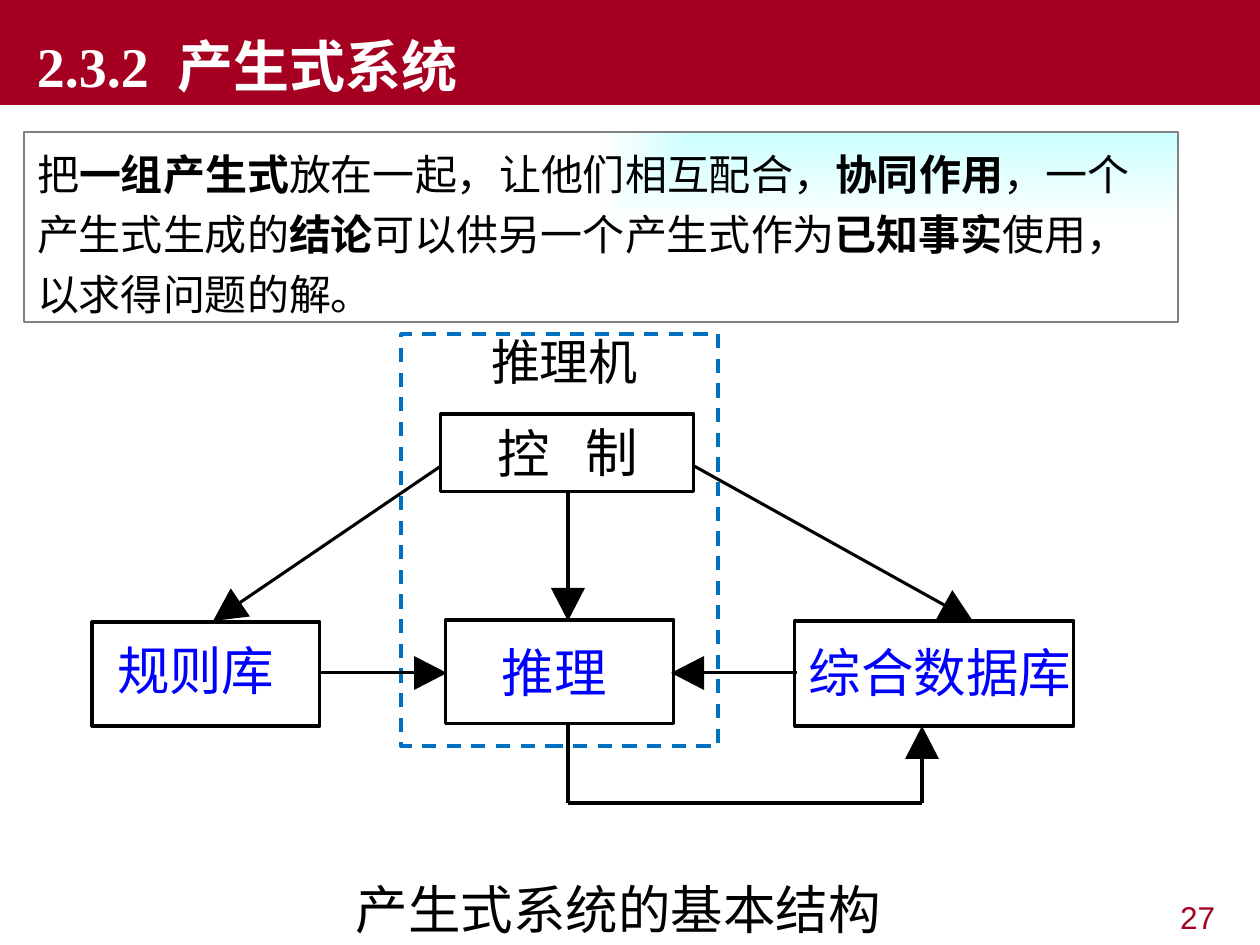
import math
import pptx
import pptx.util
import pptx.dml.color
import pptx.enum.dml
import pptx.enum.shapes
import pptx.enum.text
import pptx.oxml
from lxml import etree

RGB = pptx.dml.color.RGBColor
RED = RGB(0xA5, 0x00, 0x21)
BLACK = RGB(0, 0, 0)
WHITE = RGB(255, 255, 255)
BLUE = RGB(0, 0, 255)
DASH_BLUE = RGB(0x00, 0x70, 0xC0)
GRAY = RGB(0x80, 0x80, 0x80)
CYAN = RGB(0xCC, 0xFF, 0xFF)
CJK = "Noto Sans CJK SC"
NS = "http://schemas.openxmlformats.org/drawingml/2006/main"
A = "{%s}" % NS
PX = 914400 / 126
RECT = pptx.enum.shapes.MSO_SHAPE.RECTANGLE
ALIGN = pptx.enum.text.PP_ALIGN
ANCHOR = pptx.enum.text.MSO_ANCHOR

prs = pptx.Presentation()
prs.slide_width = round(1260 * PX)
prs.slide_height = round(945 * PX)
s = prs.slides.add_slide(prs.slide_layouts[6])


def write(sp, text, size=30, font=CJK, color=BLACK, bold=False, align=ALIGN.LEFT,
          anchor=ANCHOR.TOP, wrap=True, inset=(13, 6), indent=0, spacing=None):
    """Fill a shape with one paragraph; parts between * signs flip the weight."""
    tf = sp.text_frame
    tf.word_wrap = wrap
    tf.vertical_anchor = anchor
    tf.margin_left = tf.margin_right = round(inset[0] * PX)
    tf.margin_top = tf.margin_bottom = round(inset[1] * PX)
    p = tf.paragraphs[0]
    p.alignment = align
    if spacing:
        p.line_spacing = spacing
    if indent:
        p._p.get_or_add_pPr().set("indent", str(round(indent * PX)))
    for i, part in enumerate(text.split("*")):
        r = p.add_run()
        r.text = part
        r.font.size = pptx.util.Pt(size)
        r.font.name = font
        r.font.bold = bold != (i % 2 == 1)
        r.font.color.rgb = color
        ea = etree.SubElement(r._r.get_or_add_rPr(), A + "ea")
        ea.set("typeface", CJK)


def box(x, y, w, h, line=None, width=1.75, fill=None):
    sp = s.shapes.add_shape(RECT, *(round(v * PX) for v in (x, y, w, h)))
    sp.shadow.inherit = False
    if fill is None:
        sp.fill.background()
    else:
        sp.fill.solid()
        sp.fill.fore_color.rgb = fill
    if line is None:
        sp.line.fill.background()
    else:
        sp.line.color.rgb = line
        sp.line.width = pptx.util.Pt(width)
    return sp


# Dashed frame of the inference engine
frame = box(401, 334, 317, 412, DASH_BLUE, 2)
frame.line.dash_style = pptx.enum.dml.MSO_LINE.DASH

# Title bar
write(box(0, 0, 1260, 105, fill=RED), "2.3.2  产生式系统", size=32, color=WHITE,
      font="Times New Roman", bold=True, anchor=ANCHOR.BOTTOM, indent=24)

# Boxes of the diagram
for x, y, w, h in [(441, 414, 253, 78), (92, 622, 228, 104),
                   (446, 620, 228, 104), (795, 621, 279, 105)]:
    box(x, y, w, h, BLACK)

# Lines and arrows, the last point being the tip
HEAD, HALF = 33, 17
for points, has_head in [
    ([(568, 492), (568, 621)], True),
    ([(441, 466), (213, 621)], True),
    ([(694, 466), (973, 621)], True),
    ([(320, 673), (447, 673)], True),
    ([(797, 673), (671, 673)], True),
    ([(568, 725), (568, 803)], False),
    ([(568, 803), (922, 803)], False),
    ([(922, 803), (922, 726)], True),
]:
    (x1, y1), (x2, y2) = points
    length = math.hypot(x2 - x1, y2 - y1)
    ux, uy = (x2 - x1) / length, (y2 - y1) / length
    back = HEAD if has_head else 0
    bx, by = x2 - ux * back, y2 - uy * back
    cn = s.shapes.add_connector(pptx.enum.shapes.MSO_CONNECTOR.STRAIGHT,
                                *(round(v * PX) for v in (x1, y1, bx, by)))
    cn.line.color.rgb = BLACK
    cn.line.width = pptx.util.Pt(1.75)
    etree.SubElement(cn._element.spPr, A + "effectLst")
    if has_head:
        fb = s.shapes.build_freeform(round((bx - uy * HALF) * PX),
                                     round((by + ux * HALF) * PX))
        fb.add_line_segments([(round(x2 * PX), round(y2 * PX)),
                              (round((bx + uy * HALF) * PX), round((by - ux * HALF) * PX))])
        head = fb.convert_to_shape()
        head.shadow.inherit = False
        head.fill.solid()
        head.fill.fore_color.rgb = BLACK
        head.line.fill.background()

# Explanation with a gradient from the top right corner
note = box(24, 132, 1154, 190, GRAY, 0.75)
note.fill.gradient()
for stop, color in zip(note.fill.gradient_stops, (CYAN, WHITE)):
    stop.color.rgb = color
grad = note._element.spPr.find(A + "gradFill")
grad.remove(grad.find(A + "lin"))
grad.append(pptx.oxml.parse_xml(
    f'<a:path xmlns:a="{NS}" path="rect"><a:fillToRect l="100000" b="100000"/></a:path>'))
write(note, "把*一组产生式*放在一起，让他们相互配合，*协同作用*，一个产生式生成的*结论*"
      "可以供另一个产生式作为*已知事实*使用，以求得问题的解。", size=24, spacing=1.2)

# Labels, caption and page number
bare = dict(inset=(0, 0), wrap=False)
for x, y, w, h, text, style in [
    (497, 421, 56, 63, "控", bare),
    (586, 420, 56, 63, "制", bare),
    (117, 638, 170, 63, "规则库", dict(bare, color=BLUE)),
    (502, 640, 116, 63, "推理", dict(bare, color=BLUE)),
    (809, 640, 276, 63, "综合数据库", dict(bare, color=BLUE)),
    (356, 877, 540, 63, "产生式系统的基本结构", bare),
    (478, 325, 222, 72, "推理机", dict(size=28, font="DejaVu Sans")),
    (955, 892, 273, 49, "27", dict(size=18, font="Arial", color=RED, align=ALIGN.RIGHT)),
]:
    tb = s.shapes.add_textbox(*(round(v * PX) for v in (x, y, w, h)))
    write(tb, text, **style)

prs.save("out.pptx")
